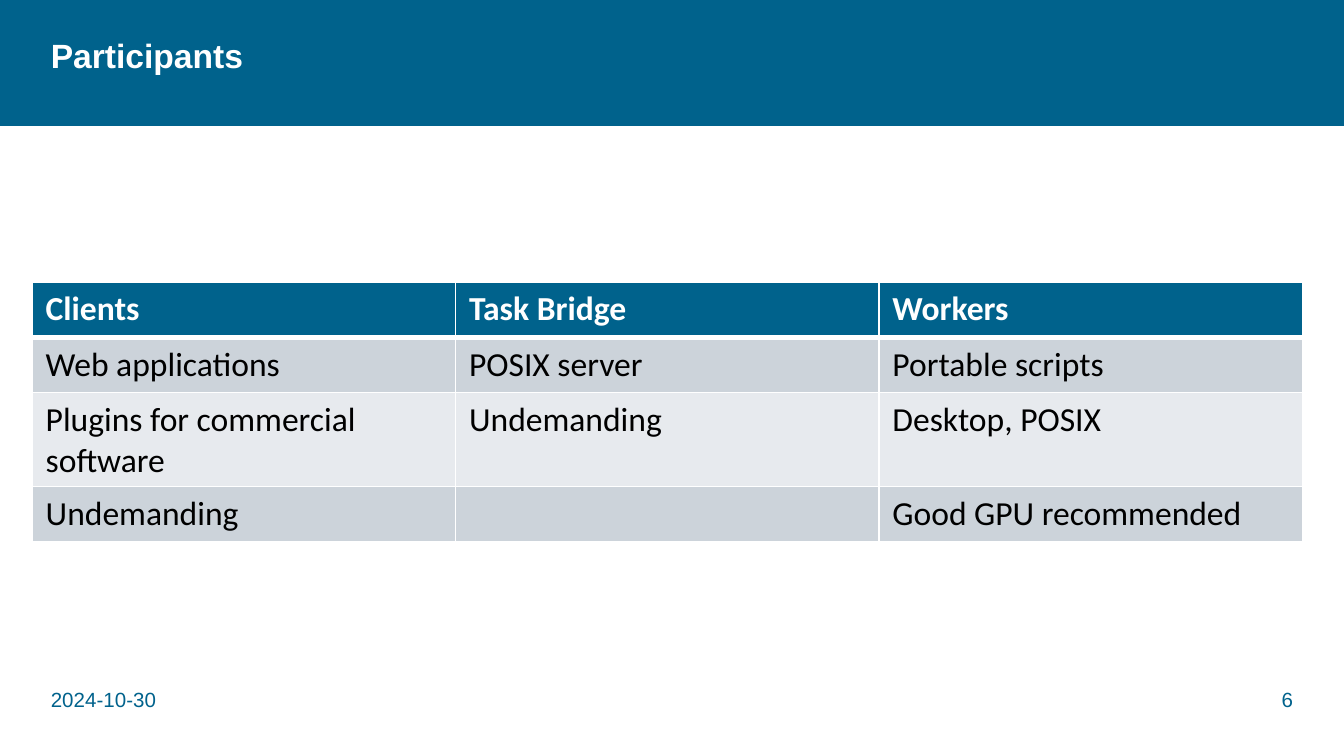
import pptx
import pptx.dml.color
import pptx.enum.shapes
import pptx.enum.text
import pptx.oxml
import pptx.oxml.ns
import pptx.util
from lxml import etree

COLORS = {
    "brand": "00628C",
    "white": "FFFFFF",
    "black": "000000",
    "band_dark": "CCD3DA",
    "band_light": "E7EAEE",
}
ROWS = [
    ["Clients", "Task Bridge", "Workers"],
    ["Web applications", "POSIX server", "Portable scripts"],
    ["Plugins for commercial software", "Undemanding", "Desktop, POSIX"],
    ["Undemanding", "", "Good GPU recommended"],
]
ALIGN = pptx.enum.text.PP_ALIGN
ANCHOR = pptx.enum.text.MSO_ANCHOR

presentation = pptx.Presentation()
presentation.slide_width = pptx.util.Inches(10)
presentation.slide_height = int(presentation.slide_width * 9 / 16)
width, height = presentation.slide_width, presentation.slide_height
slide = presentation.slides.add_slide(presentation.slide_layouts[6])


def rgb(name):
    return pptx.dml.color.RGBColor.from_string(COLORS[name])


def add_run(paragraph, text, font_name, size, color, bold=False):
    run = paragraph.add_run()
    run.text = text
    run.font.name = font_name
    run.font.size = pptx.util.Pt(size)
    run.font.bold = bold
    run.font.color.rgb = rgb(color)


# Header band, one sixth of the slide
band = slide.shapes.add_shape(
    pptx.enum.shapes.MSO_SHAPE.RECTANGLE, 0, 0, width, height // 6)
band.shadow.inherit = False
band.fill.solid()
band.fill.fore_color.rgb = rgb("brand")
band.line.fill.background()

# Title, date and page number
margin = 0.028
footer_width = 0.236
labels = [
    ("Participants", margin, 0.034, 0.63, 0.1, 18, "white", True, ALIGN.LEFT, ANCHOR.TOP),
    ("2024-10-30", margin, 0.9, footer_width, 0.05, 11, "brand", False, ALIGN.LEFT, ANCHOR.MIDDLE),
    ("6", 1 - margin - footer_width, 0.9, footer_width, 0.05, 11, "brand", False,
     ALIGN.RIGHT, ANCHOR.MIDDLE),
]
for text, left, top, share, inset, size, color, bold, align, anchor in labels:
    box_height = 0.1 if bold else 0.05
    box = slide.shapes.add_textbox(
        int(left * width), int(top * height), int(share * width), int(box_height * height))
    frame = box.text_frame
    frame.word_wrap = True
    frame.vertical_anchor = anchor
    frame.margin_top = frame.margin_bottom = pptx.util.Inches(inset)
    paragraph = frame.paragraphs[0]
    paragraph.alignment = align
    if bold:
        paragraph.line_spacing = 0.9
    add_run(paragraph, text, "Arial", size, color, bold)

# Participants table
column_width = int(0.315 * width)
row_height = pptx.util.Inches(0.41)
table = slide.shapes.add_table(
    len(ROWS), len(ROWS[0]), pptx.util.Inches(0.24), pptx.util.Inches(2.1),
    column_width * len(ROWS[0]), row_height * len(ROWS)).table

for row_index, row in enumerate(ROWS):
    header = row_index == 0
    fill = "brand" if header else ("band_dark" if row_index % 2 else "band_light")
    for column_index, text in enumerate(row):
        cell = table.cell(row_index, column_index)
        # White cell borders, with a heavier rule under the header
        properties = cell._tc.get_or_add_tcPr()
        heavy_side = {0: "lnB", 1: "lnT"}.get(row_index)
        for side in ("lnL", "lnR", "lnT", "lnB"):
            line = etree.SubElement(properties, pptx.oxml.ns.qn("a:" + side))
            line.set("w", str(pptx.util.Pt(3 if side == heavy_side else 1)))
            solid = etree.SubElement(line, pptx.oxml.ns.qn("a:solidFill"))
            etree.SubElement(solid, pptx.oxml.ns.qn("a:srgbClr")).set("val", COLORS["white"])
        cell.fill.solid()
        cell.fill.fore_color.rgb = rgb(fill)
        if text:
            add_run(cell.text_frame.paragraphs[0], text, "Calibri", 18,
                    "white" if header else "black", header)

presentation.save("out.pptx")
